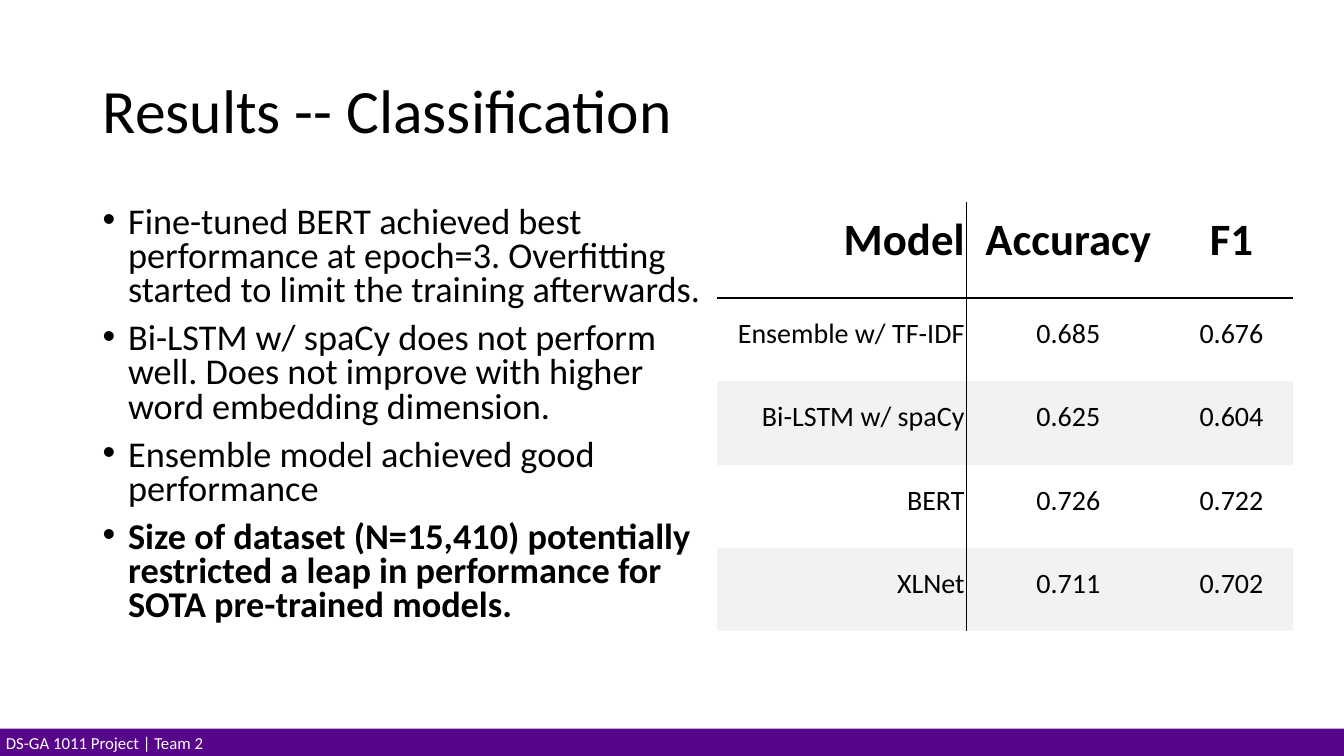
from dataclasses import dataclass

from lxml.etree import SubElement
from pptx import Presentation
from pptx.dml.color import RGBColor
from pptx.enum.shapes import MSO_SHAPE as Preset
from pptx.enum.text import MSO_ANCHOR as Anchor, PP_ALIGN as Align
from pptx.oxml.ns import qn
from pptx.util import Cm, Pt

FONT = "Calibri"
BLACK, WHITE, BAND, PURPLE = "000000", "FFFFFF", "F2F2F2", "57058B"


@dataclass
class Area:
    left: float
    top: float
    width: float
    height: float

    def lengths(self):
        return Cm(self.left), Cm(self.top), Cm(self.width), Cm(self.height)


@dataclass
class Bullet:
    text: str
    bold: bool = False


@dataclass
class Result:
    model: str
    accuracy: str
    f1: str


BULLETS = [
    Bullet("Fine-tuned BERT achieved best performance at epoch=3. "
           "Overfitting started to limit the training afterwards."),
    Bullet("Bi-LSTM w/ spaCy does not perform well. "
           "Does not improve with higher word embedding dimension."),
    Bullet("Ensemble model achieved good performance"),
    Bullet("Size of dataset (N=15,410) potentially restricted a leap in "
           "performance for SOTA pre-trained models.", bold=True),
]
RESULTS = [
    Result("Model", "Accuracy", "F1"),
    Result("Ensemble w/ TF-IDF", "0.685", "0.676"),
    Result("Bi-LSTM w/ spaCy", "0.625", "0.604"),
    Result("BERT", "0.726", "0.722"),
    Result("XLNet", "0.711", "0.702"),
]
COLUMN_WIDTHS = [6.3, 4.82, 3.4]
HEADER_HEIGHT, ROW_HEIGHT = 2.43, 2.1


def color(code: str) -> RGBColor:
    return RGBColor.from_string(code)


def write(para, text: str, size: float, code: str = BLACK, bold: bool = False,
          align=Align.LEFT) -> None:
    para.text = text
    para.alignment = align
    font = para.font
    font.name, font.size, font.bold = FONT, Pt(size), bold
    font.color.rgb = color(code)


def add_text_frame(page, area: Area, anchor):
    frame = page.shapes.add_textbox(*area.lengths()).text_frame
    frame.word_wrap = True
    frame.vertical_anchor = anchor
    return frame


def add_title(page, area: Area) -> None:
    para = add_text_frame(page, area, Anchor.MIDDLE).paragraphs[0]
    write(para, "Results -- Classification", 44)
    para.line_spacing = 0.9


def add_bullets(page, area: Area) -> None:
    frame = add_text_frame(page, area, Anchor.TOP)
    for index, bullet in enumerate(BULLETS):
        para = frame.add_paragraph() if index else frame.paragraphs[0]
        write(para, bullet.text, 25.9, bold=bullet.bold)
        para.line_spacing = 0.79
        para.space_before = Pt(9.5)
        properties = para._p.get_or_add_pPr()
        properties.set("marL", str(Cm(0.64)))
        properties.set("indent", str(Cm(-0.64)))
        SubElement(properties, qn("a:buFont"), typeface="Arial")
        SubElement(properties, qn("a:buChar"), char="•")


def set_borders(cell, black_sides: str) -> None:
    """Rule the sides named by letter (L, R, T, B) and clear the others."""
    properties = cell._tc.get_or_add_tcPr()
    for side in "LRTB":
        line = SubElement(properties, qn(f"a:ln{side}"), w=str(Pt(1)))
        if side in black_sides:
            fill = SubElement(line, qn("a:solidFill"))
            SubElement(fill, qn("a:srgbClr"), val=BLACK)
        else:
            SubElement(line, qn("a:noFill"))


def fill_cell(cell, text: str, row: int, column: int) -> None:
    cell.margin_left, cell.margin_top = Cm(0.36), Cm(0.1)
    cell.margin_right, cell.margin_bottom = Cm(0.05), Cm(0.76)
    cell.vertical_anchor = Anchor.BOTTOM
    is_header = row == 0
    write(cell.text_frame.paragraphs[0], text, 32 if is_header else 20,
          bold=is_header, align=Align.CENTER if column else Align.RIGHT)
    set_borders(cell, {0: "R", 1: "L"}.get(column, "")
                + {0: "B", 1: "T"}.get(row, ""))
    if row and row % 2 == 0:
        cell.fill.solid()
        cell.fill.fore_color.rgb = color(BAND)
    else:
        cell.fill.background()


def add_results(page, left: float, top: float) -> None:
    area = Area(left, top, sum(COLUMN_WIDTHS),
                HEADER_HEIGHT + ROW_HEIGHT * (len(RESULTS) - 1))
    table = page.shapes.add_table(len(RESULTS), len(COLUMN_WIDTHS),
                                  *area.lengths()).table
    table.first_row = table.horz_banding = False
    for column, width in zip(table.columns, COLUMN_WIDTHS):
        column.width = Cm(width)
    for row, result in enumerate(RESULTS):
        table.rows[row].height = Cm(ROW_HEIGHT if row else HEADER_HEIGHT)
        for column, text in enumerate((result.model, result.accuracy, result.f1)):
            fill_cell(table.cell(row, column), text, row, column)


def add_footer(page, area: Area) -> None:
    bar = page.shapes.add_shape(Preset.RECTANGLE, *area.lengths())
    bar.shadow.inherit = False
    bar.fill.solid()
    bar.fill.fore_color.rgb = color(PURPLE)
    bar.line.fill.background()
    frame = bar.text_frame
    frame.margin_left = Cm(0.35)
    frame.vertical_anchor = Anchor.BOTTOM
    write(frame.paragraphs[0], "DS-GA 1011 Project | Team 2", 12, WHITE)
    frame.paragraphs[0].line_spacing = 0.9


def main() -> None:
    deck = Presentation()
    deck.slide_width, deck.slide_height = Cm(33.87), Cm(19.05)
    page = deck.slides.add_slide(deck.slide_layouts[6])
    add_results(page, 18.06, 5.08)
    add_title(page, Area(2.34, 1.02, 29.21, 3.68))
    add_bullets(page, Area(2.34, 5.08, 15.72, 12.09))
    add_footer(page, Area(-0.2, 18.36, 34.29, 0.74))
    deck.save("out.pptx")


if __name__ == "__main__":
    main()
